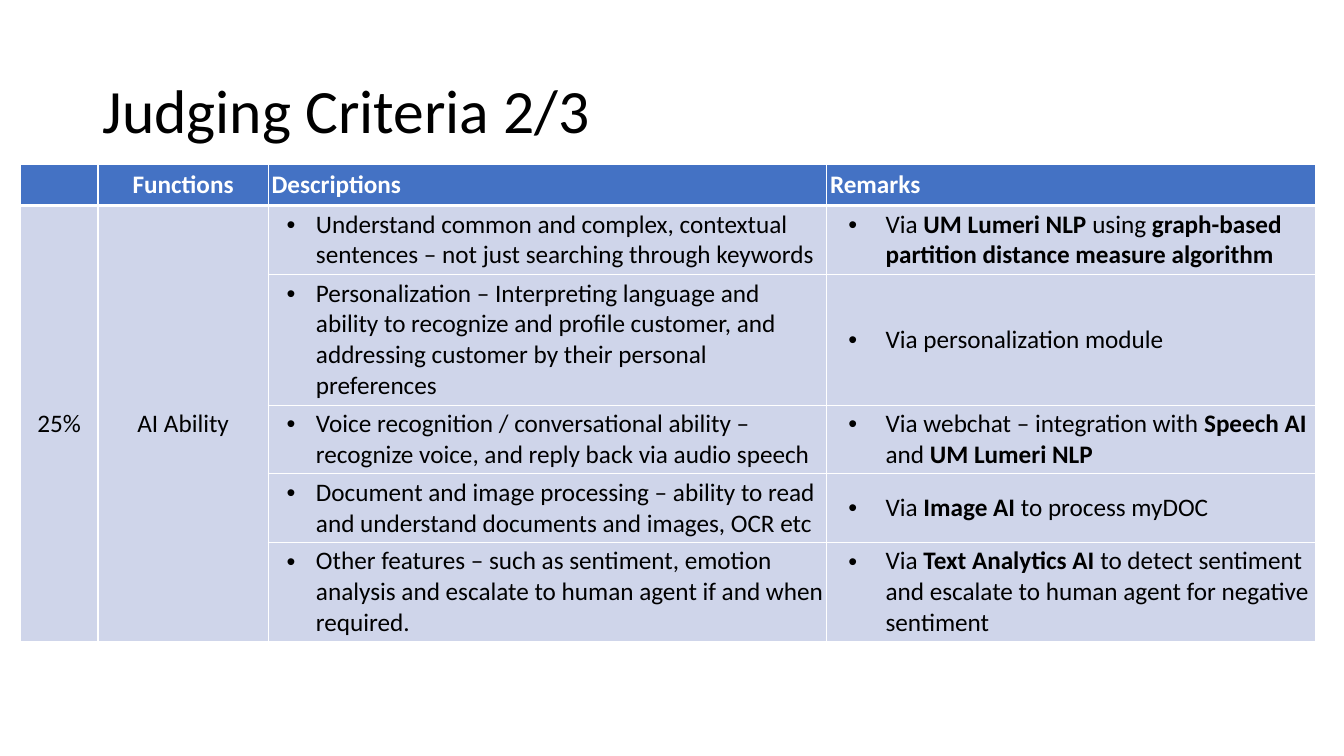
from dataclasses import dataclass

from lxml import etree
from pptx import Presentation
from pptx import util as u
from pptx.dml.color import RGBColor
from pptx.enum import text
from pptx.oxml import ns


@dataclass(frozen=True)
class Theme:
    """Colours, font and type sizes."""
    font: str = "Calibri"
    title_size: int = 44
    body_size: int = 18
    ink: str = "000000"
    light: str = "FFFFFF"
    header: str = "4472C4"
    body: str = "CFD5EA"


COLUMNS = [1.96, 4.29, 14.07, 12.32]
ROWS = [1.04, 1.73, 3.3, 1.73, 1.73, 2.5]
INDENTS = {2: (1.12, -0.74), 3: (1.4, -0.94)}
HEADINGS = ["", "Functions", "Descriptions", "Remarks"]
ENGINE = "UM Lumeri NLP"

CRITERIA = [
    ("Understand common and complex, contextual sentences – not just searching through keywords",
     ["Via ", f"{ENGINE} ", "using ", "graph-based partition distance measure algorithm"]),
    ("Personalization – Interpreting language and ability to recognize and profile customer, "
     "and addressing customer by their personal preferences",
     ["Via personalization module"]),
    ("Voice recognition / conversational ability – recognize voice, and reply back via audio speech",
     ["Via webchat – integration with ", "Speech AI ", "and ", ENGINE]),
    ("Document and image processing – ability to read and understand documents and images, OCR etc",
     ["Via ", "Image AI ", "to process myDOC"]),
    ("Other features – such as sentiment, emotion analysis and escalate to human agent "
     "if and when required.",
     ["Via ", "Text Analytics AI ",
      "to detect sentiment and escalate to human agent for negative sentiment"]),
]


class Deck:
    """Holds the theme and the current slide."""

    def __init__(self, theme):
        """Start a widescreen presentation."""
        self.theme = theme
        self.prs = Presentation()
        self.prs.slide_width, self.prs.slide_height = u.Inches(13.33), u.Inches(7.5)
        self.s = self.prs.slides.add_slide(self.prs.slide_layouts[5])

    def style(self, p, size, color):
        """Set the paragraph font."""
        p.font.name, p.font.size = self.theme.font, u.Pt(size)
        p.font.color.rgb = RGBColor.from_string(color)

    def title(self, words, left, top, width, height):
        """Place and format the title."""
        sp = self.s.shapes.title
        sp.left, sp.top, sp.width, sp.height = map(u.Cm, (left, top, width, height))
        tf = sp.text_frame
        tf.text = words
        tf.word_wrap = True
        tf.vertical_anchor = text.MSO_ANCHOR.MIDDLE
        p = tf.paragraphs[0]
        p.alignment, p.line_spacing = text.PP_ALIGN.LEFT, 0.9
        self.style(p, self.theme.title_size, self.theme.ink)

    def table(self, left, top, columns, rows):
        """Add an empty table and return it."""
        frame = self.s.shapes.add_table(
            len(rows), len(columns), u.Cm(left), u.Cm(top), u.Cm(sum(columns)), u.Cm(sum(rows)))
        tbl = frame.table
        tbl.horz_banding = False
        for column, width in zip(tbl.columns, columns):
            column.width = u.Cm(width)
        for row, height in zip(tbl.rows, rows):
            row.height = u.Cm(height)
        return tbl

    def borders(self, cell, top, bottom):
        """Draw the four cell borders."""
        tc_pr = cell._tc.get_or_add_tcPr()
        for side, points in (("L", 1), ("R", 1), ("T", top), ("B", bottom)):
            ln = etree.SubElement(tc_pr, ns.qn(f"a:ln{side}"), w=str(u.Pt(points)))
            fill = etree.SubElement(ln, ns.qn("a:solidFill"))
            etree.SubElement(fill, ns.qn("a:srgbClr"), val=self.theme.light)

    def bullet(self, p, margin, indent):
        """Give the paragraph a hanging bullet."""
        p_pr = p._p.get_or_add_pPr()
        p_pr.set("marL", str(u.Cm(margin)))
        p_pr.set("indent", str(u.Cm(indent)))
        etree.SubElement(p_pr, ns.qn("a:buFont"), typeface="Arial")
        etree.SubElement(p_pr, ns.qn("a:buChar"), char="•")

    def cell(self, cell, runs, header=False, top=1, centred=False, indent=None):
        """Fill a cell; every second run is bold in the body."""
        t = self.theme
        self.borders(cell, top, 3 if header else 1)
        cell.fill.solid()
        cell.fill.fore_color.rgb = RGBColor.from_string(t.header if header else t.body)
        cell.margin_left = cell.margin_right = cell.margin_top = cell.margin_bottom = u.Cm(0.08)
        cell.vertical_anchor = text.MSO_ANCHOR.MIDDLE
        p = cell.text_frame.paragraphs[0]
        if indent:
            self.bullet(p, *indent)
        p.alignment = text.PP_ALIGN.CENTER if centred else text.PP_ALIGN.LEFT
        self.style(p, t.body_size, t.light if header else t.ink)
        for i, words in enumerate(runs):
            r = p.add_run()
            r.text = words
            r.font.bold = header or i % 2 == 1


def main():
    """Build and save the slide."""
    deck = Deck(Theme())
    deck.title("Judging Criteria 2/3", 2.33, 1.01, 29.21, 3.68)
    tbl = deck.table(0.51, 4.14, COLUMNS, ROWS)
    for c, heading in enumerate(HEADINGS):
        deck.cell(tbl.cell(0, c), [heading] if heading else [], header=True, centred=c < 2)
    for i, (description, remark) in enumerate(CRITERIA, 1):
        labels = [["25%"], ["AI Ability"]] if i == 1 else [[], []]
        for c, runs in enumerate([*labels, [description], remark]):
            deck.cell(tbl.cell(i, c), runs, top=3 if i == 1 else 1,
                      centred=c < 2, indent=INDENTS.get(c))
    for c in range(2):
        tbl.cell(1, c).merge(tbl.cell(len(CRITERIA), c))
    deck.prs.save("out.pptx")


if __name__ == "__main__":
    main()
